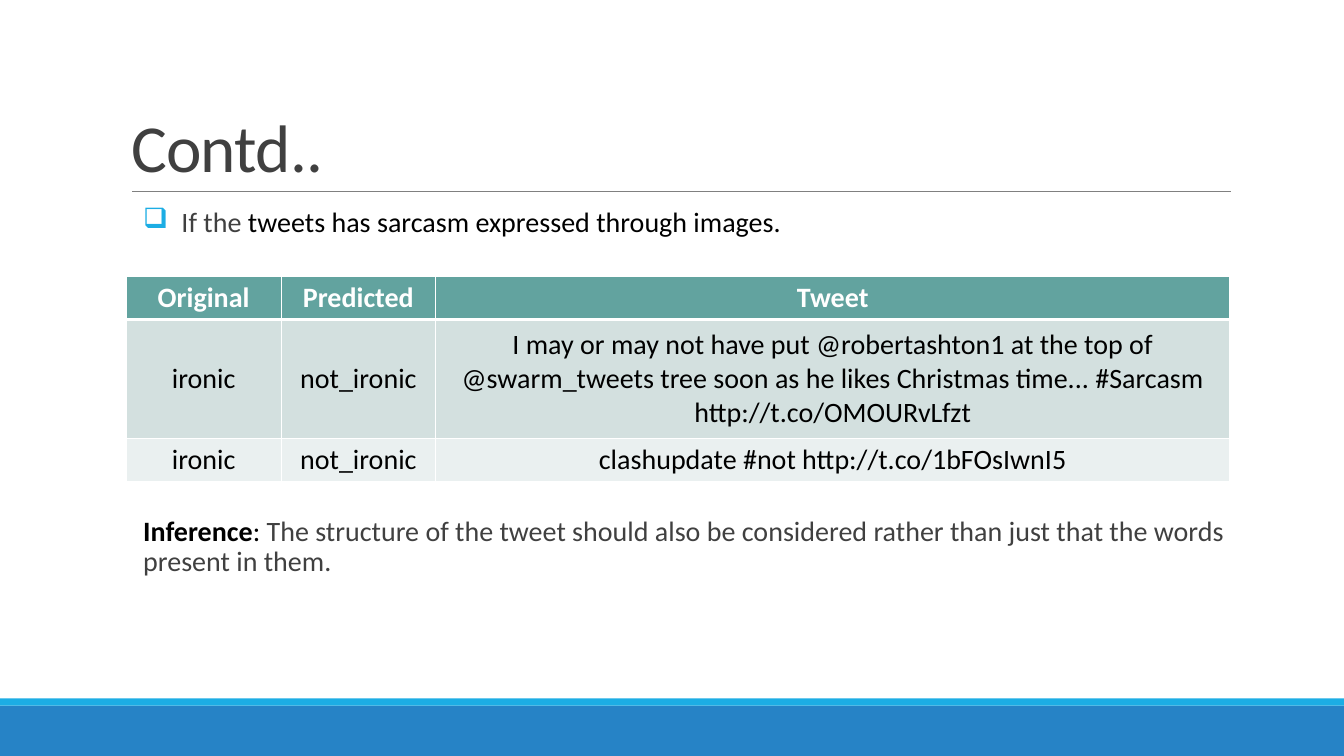
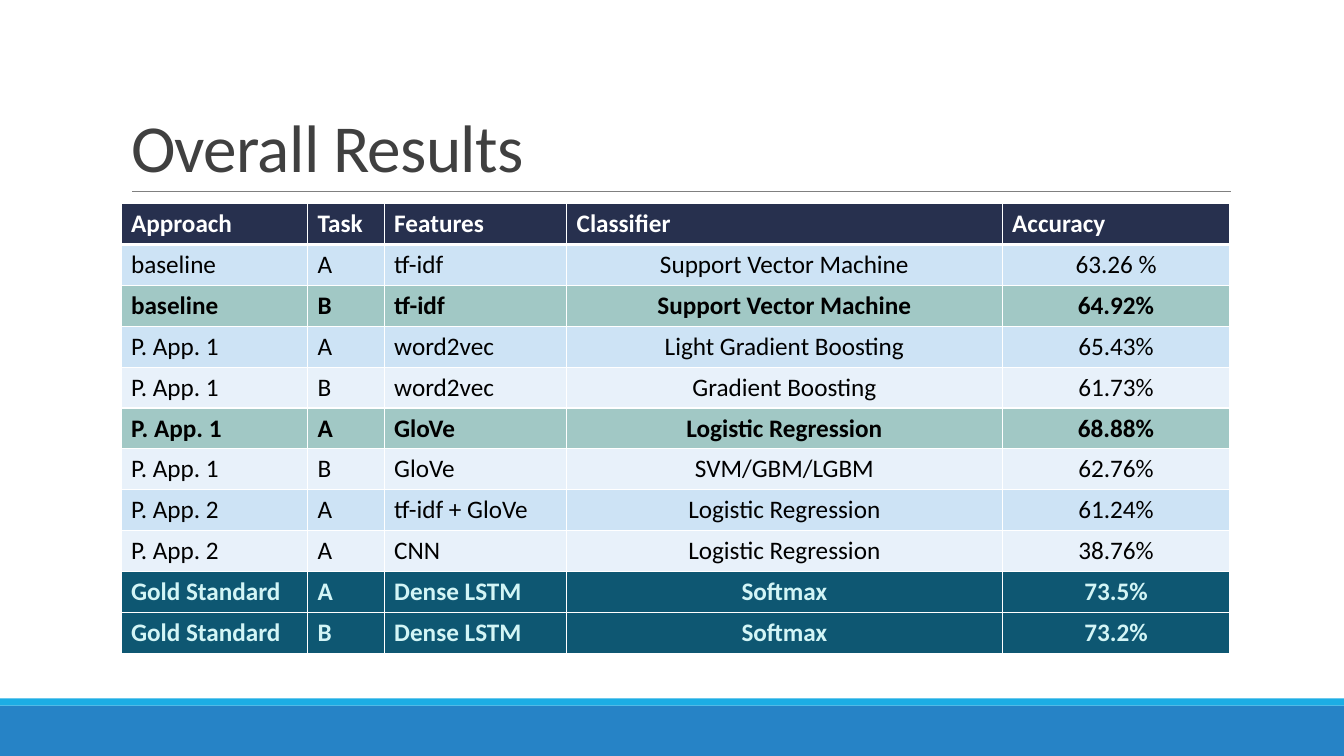
"""Build two slides on tweet irony detection: an error example and the overall results."""
from lxml import etree
from pptx import Presentation
from pptx.dml.color import RGBColor
from pptx.enum.shapes import MSO_CONNECTOR, MSO_SHAPE
from pptx.enum.text import MSO_ANCHOR, MSO_AUTO_SIZE, PP_ALIGN
from pptx.oxml.ns import qn
from pptx.util import Inches, Pt

LEFT, CENTER = PP_ALIGN.LEFT, PP_ALIGN.CENTER
TOP, MIDDLE, BOTTOM = MSO_ANCHOR.TOP, MSO_ANCHOR.MIDDLE, MSO_ANCHOR.BOTTOM
RECT, STRAIGHT, FIXED = MSO_SHAPE.RECTANGLE, MSO_CONNECTOR.STRAIGHT, MSO_AUTO_SIZE.NONE

THEME = {
    "font": "Calibri", "title_size": 48, "body_size": 20, "results_size": 18,
    "text": "404040", "strong": "000000", "accent": "1CADE4", "band": "2683C6",
    "rule": "808080", "border": "FFFFFF",
}
WIDTH, HEIGHT = 13.33, 7.5
MARGIN, CONTENT_W, CONTENT_TOP = 1.2, 11, 2.02
TEXT_INDENT, BULLET_HANG = 0.22, 0.38

ROW_STYLES = {
    "tweet_head": ("62A39F", "FFFFFF", True),
    "tweet_dark": ("D3E0DF", "000000", False),
    "tweet_light": ("EAF0F0", "000000", False),
    "head": ("27304E", "FFFFFF", True),
    "dark": ("CDE3F5", "000000", False),
    "light": ("E8F1FA", "000000", False),
    "best": ("A1C8C5", "000000", True),
    "gold": ("0E5772", "D3F5F6", True),
}

POINT = [("If the ", {"color": THEME["text"]}),
         ("tweets has sarcasm expressed through images.", {})]
INFERENCE = [("Inference", {"bold": True}), (":", {}),
             (" The structure of the tweet should also be considered rather than just "
              "that the words present in them.", {"color": THEME["text"]})]
TWEETS = [
    ("tweet_head", "Original", "Predicted", "Tweet"),
    ("tweet_dark", "ironic", "not_ironic",
     "I may or may not have put @robertashton1 at the top of @swarm_tweets tree soon "
     "as he likes Christmas time... #Sarcasm http://t.co/OMOURvLfzt"),
    ("tweet_light", "ironic", "not_ironic", "clashupdate #not http://t.co/1bFOsIwnI5"),
]
RESULTS = [
    ("head", "Approach", "Task", "Features", "Classifier", "Accuracy"),
    ("dark", "baseline", "A", "tf-idf", "Support Vector Machine", "63.26 %"),
    ("best", "baseline", "B", "tf-idf", "Support Vector Machine", "64.92%"),
    ("dark", "P. App. 1", "A", "word2vec", "Light Gradient Boosting", "65.43%"),
    ("light", "P. App. 1", "B", "word2vec", "Gradient Boosting", "61.73%"),
    ("best", "P. App. 1", "A", "GloVe", "Logistic Regression", "68.88%"),
    ("light", "P. App. 1", "B", "GloVe", "SVM/GBM/LGBM", "62.76%"),
    ("dark", "P. App. 2", "A", "tf-idf + GloVe", "Logistic Regression", "61.24%"),
    ("light", "P. App. 2", "A", "CNN", "Logistic Regression", "38.76%"),
    ("gold", "Gold Standard", "A", "Dense LSTM", "Softmax", "73.5%"),
    ("gold", "Gold Standard", "B", "Dense LSTM", "Softmax", "73.2%"),
]


def rgb(color):
    """Turn a hex string into a colour."""
    return RGBColor.from_string(color)


def write(p, text, size=THEME["body_size"], color=THEME["strong"], bold=False, spacing=0):
    """Add one formatted run to a paragraph."""
    r = p.add_run()
    r.text = text
    r.font.name, r.font.size, r.font.bold = THEME["font"], Pt(size), bold
    r.font.color.rgb = rgb(color)
    if spacing:
        r.font._element.set("spc", str(int(spacing * 100)))


def add_band(s, top, height, color):
    """Draw a full-width band."""
    band = s.shapes.add_shape(RECT, 0, Inches(top), Inches(WIDTH), Inches(height))
    band.shadow.inherit = False
    band.fill.solid()
    band.fill.fore_color.rgb = rgb(color)
    band.line.fill.background()


def add_slide(prs, title):
    """Add a slide with the shared title, rule and footer bands."""
    s = prs.slides.add_slide(prs.slide_layouts[5])
    add_band(s, 7, 0.5, THEME["band"])
    add_band(s, 6.93, 0.07, THEME["accent"])
    rule = s.shapes.add_connector(STRAIGHT, Inches(1.31), Inches(1.9), Inches(12.21), Inches(1.9))
    rule.line.color.rgb = rgb(THEME["rule"])
    rule.line.width = Pt(0.5)
    etree.SubElement(rule._element.spPr, qn("a:effectLst"))
    sp = s.shapes.title
    sp.left, sp.top, sp.width, sp.height = map(Inches, (MARGIN, 0.31, CONTENT_W, 1.59))
    tf = sp.text_frame
    tf.auto_size, tf.vertical_anchor, tf.word_wrap = FIXED, BOTTOM, True
    p = tf.paragraphs[0]
    p.alignment, p.line_spacing = LEFT, 0.85
    write(p, title, size=THEME["title_size"], color=THEME["text"], spacing=-0.5)
    return s


def add_text(s, top, height, runs, bullet=None):
    """Add an indented paragraph, with a hanging bullet if one is given."""
    left = MARGIN + TEXT_INDENT
    box = s.shapes.add_textbox(Inches(left), Inches(top),
                               Inches(MARGIN + CONTENT_W - left), Inches(height))
    tf = box.text_frame
    tf.word_wrap, tf.margin_left, tf.margin_right = True, 0, 0
    p = tf.paragraphs[0]
    p.line_spacing = 0.9
    if bullet:
        pPr = p._p.get_or_add_pPr()
        pPr.set("marL", str(Inches(BULLET_HANG)))
        pPr.set("indent", str(-Inches(BULLET_HANG)))
        color = etree.SubElement(pPr, qn("a:buClr"))
        etree.SubElement(color, qn("a:srgbClr"), val=THEME["accent"])
        etree.SubElement(pPr, qn("a:buChar"), char=bullet)
    for text, style in runs:
        write(p, text, **style)


def set_borders(cell, **widths):
    """Draw the four cell borders in order, one point wide unless given."""
    tcPr = cell._tc.get_or_add_tcPr()
    for side in ("lnL", "lnR", "lnT", "lnB"):
        line = etree.SubElement(tcPr, qn("a:" + side), w=str(Pt(widths.get(side, 1))))
        fill = etree.SubElement(line, qn("a:solidFill"))
        etree.SubElement(fill, qn("a:srgbClr"), val=THEME["border"])


def add_grid(s, left, top, cols, heights, rows, align, size, anchor=TOP, inset=None):
    """Add a table whose rows name their style; align(row, column) gives the alignment."""
    table = s.shapes.add_table(len(rows), len(cols), Inches(left), Inches(top),
                               Inches(sum(cols)), Inches(sum(heights))).table
    for column, width in zip(table.columns, cols):
        column.width = Inches(width)
    for i, (style, *texts) in enumerate(rows):
        table.rows[i].height = Inches(heights[i])
        fill, color, bold = ROW_STYLES[style]
        for j, text in enumerate(texts):
            cell = table.cell(i, j)
            set_borders(cell, lnB=3 if i == 0 else 1, lnT=3 if i == 1 else 1)
            cell.fill.solid()
            cell.fill.fore_color.rgb = rgb(fill)
            cell.vertical_anchor = anchor
            if inset is not None:
                cell.margin_left = cell.margin_right = Inches(inset)
                cell.margin_top = cell.margin_bottom = Inches(inset)
            p = cell.text_frame.paragraphs[0]
            p.alignment = align(i, j)
            write(p, text, size=size, color=color, bold=bold)


def main():
    """Build and save the presentation."""
    prs = Presentation()
    prs.slide_width, prs.slide_height = Inches(WIDTH), Inches(HEIGHT)

    s = add_slide(prs, "Contd..")
    add_text(s, CONTENT_TOP, 0.42, POINT, bullet="❑")
    add_grid(s, 1.25, 2.74, [1.54, 1.53, 7.88], [0.43, 1.18, 0.43], TWEETS,
             lambda i, j: CENTER, THEME["body_size"], anchor=MIDDLE, inset=0.03)
    add_text(s, 5.08, 0.72, INFERENCE)

    s = add_slide(prs, "Overall Results")
    add_grid(s, MARGIN, CONTENT_TOP, [1.85, 0.76, 1.81, 4.32, 2.26],
             [4.46 / len(RESULTS)] * len(RESULTS), RESULTS,
             lambda i, j: CENTER if i and j > 2 else LEFT, THEME["results_size"])

    prs.save("out.pptx")


if __name__ == "__main__":
    main()
